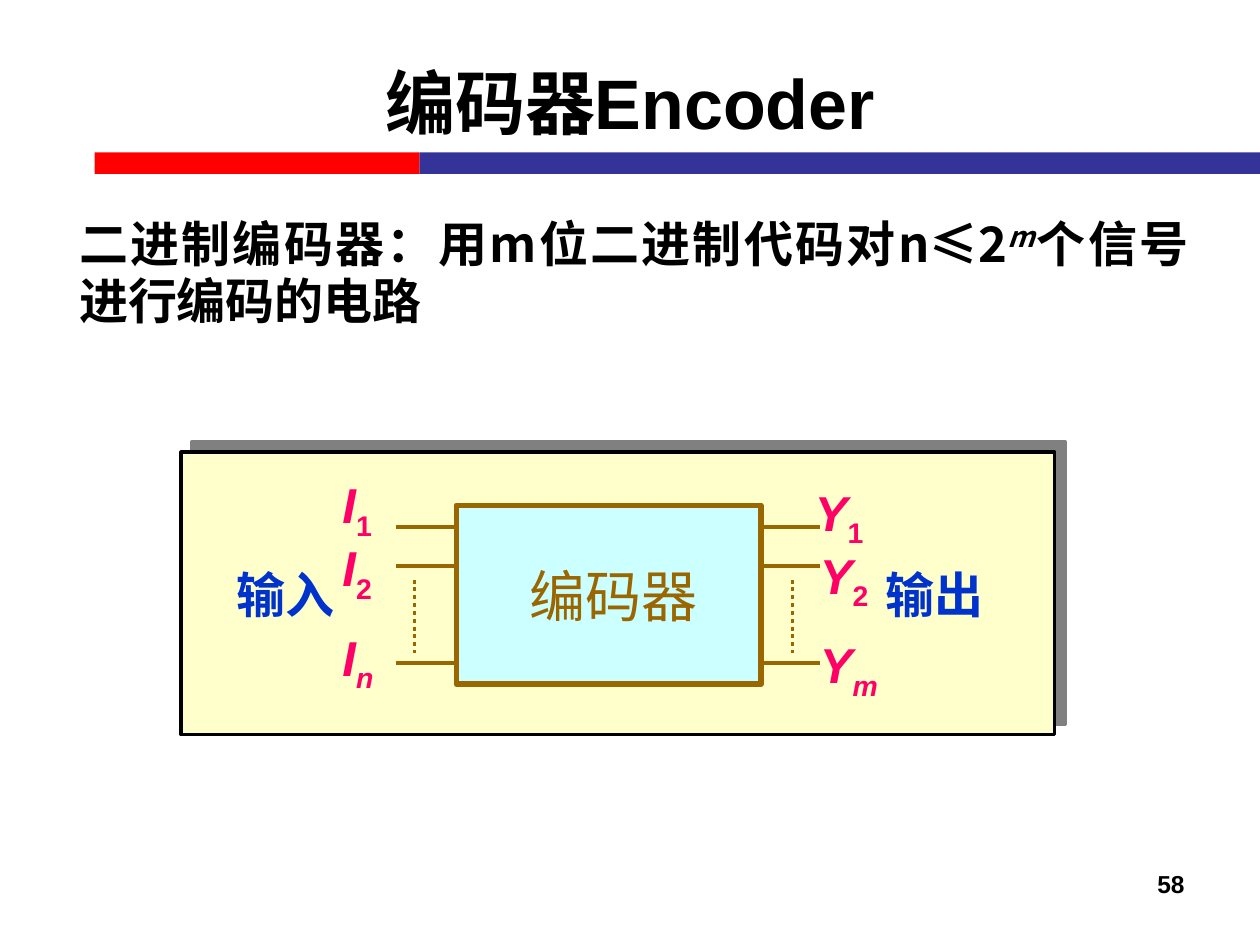
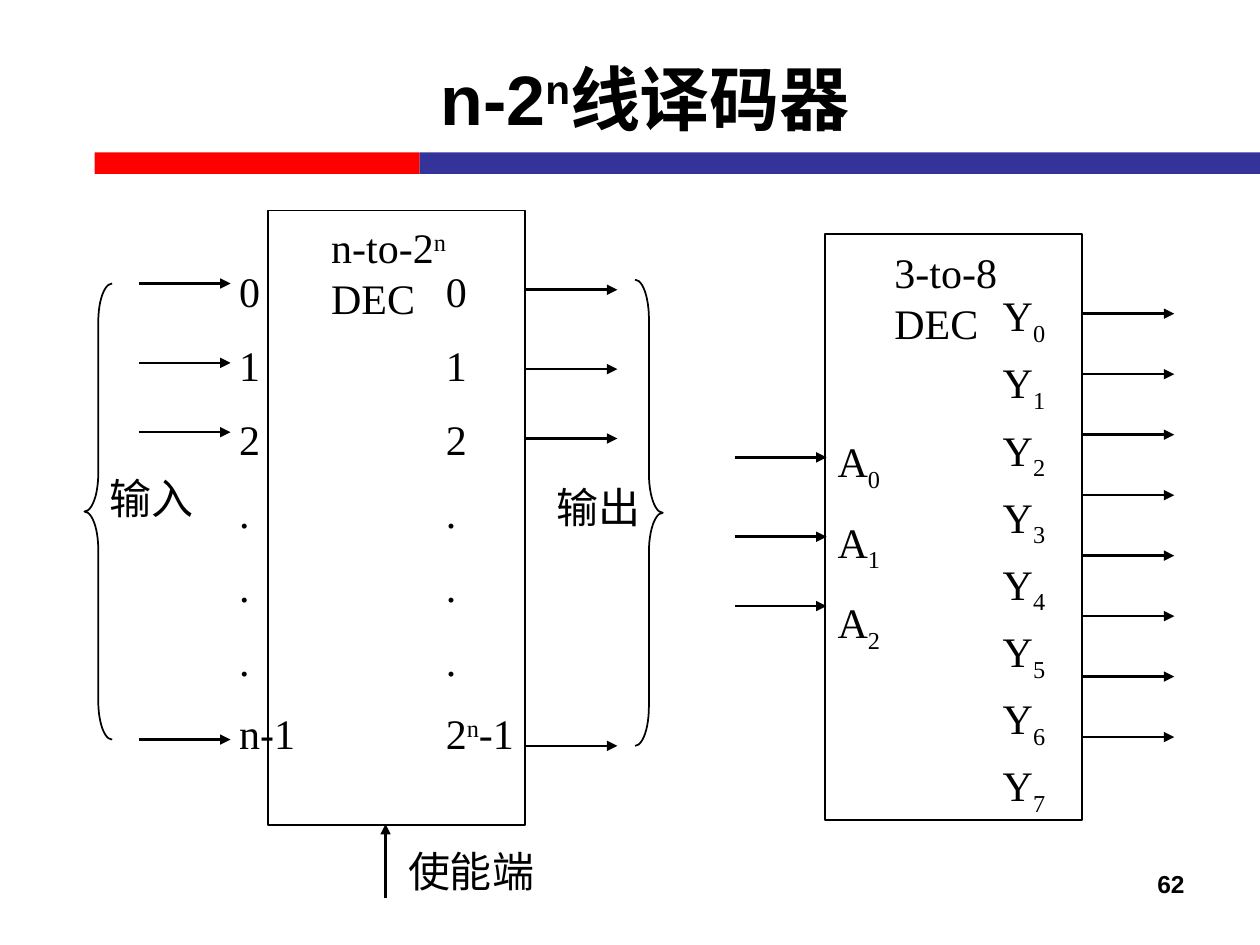
from lxml import etree
from pptx import Presentation
from pptx import util as u
from pptx.dml.color import RGBColor
from pptx.enum import dml, shapes, text
from pptx.oxml import ns

BLACK, RED, NAVY = "000000", "FF0000", "333399"
CREAM, CYAN, BROWN, PINK, BLUE, GRAY = "FFFFCC", "CCFFFF", "996600", "FF0066", "0033CC", "808080"
SANS, SERIF, CHINESE = "Arial", "Times New Roman", "Noto Sans CJK SC"
SHIFTS = {"^": 30000, "_": -25000}
ALIGN = text.PP_ALIGN
ARROW = 0.73


def color(value):
    return RGBColor.from_string(value)


def child(parent, tag, **attributes):
    return etree.SubElement(parent, ns.qn(tag), attributes)


def write(frame, lines, size, font=SANS, ink=BLACK, bold=False, italic=False, align=ALIGN.LEFT, gap=0):
    """Fill a frame; each line is a list of (words, marks): ^ raised, _ lowered, / italic, | upright."""
    for index, line in enumerate(lines):
        para = frame.paragraphs[0] if index == 0 else frame.add_paragraph()
        para.alignment = align
        if index and gap:
            para.space_before = u.Pt(gap)
        for words, marks in line:
            span = para.add_run()
            span.text = words
            span.font.size = u.Pt(size)
            span.font.name = font
            span.font.bold = bold
            span.font.italic = (italic or "/" in marks) and "|" not in marks
            span.font.color.rgb = color(ink)
            properties = span.font._element
            child(properties, "a:ea", typeface=CHINESE)
            for mark, shift in SHIFTS.items():
                if mark in marks:
                    properties.set("baseline", str(shift))


def add_text(page, box, lines, size, wrap=True, middle=False, top=0.05, **style):
    left, upper, width, height = map(u.Inches, box)
    frame = page.shapes.add_textbox(left, upper, width, height).text_frame
    frame.word_wrap = wrap
    frame.margin_top = u.Inches(top)
    if middle:
        frame.vertical_anchor = text.MSO_ANCHOR.MIDDLE
    write(frame, lines, size, **style)
    return frame


def add_outline(page, box, fill=None, line=None, weight=1, kind=shapes.MSO_SHAPE.RECTANGLE):
    shape = page.shapes.add_shape(kind, *map(u.Inches, box))
    shape.shadow.inherit = False
    if fill:
        shape.fill.solid()
        shape.fill.fore_color.rgb = color(fill)
    else:
        shape.fill.background()
    if line:
        shape.line.color.rgb = color(line)
        shape.line.width = u.Pt(weight)
    else:
        shape.line.fill.background()
    return shape


def add_line(page, start, end, ink=BLACK, weight=1.5, dotted=False, arrow=False):
    line = page.shapes.add_connector(shapes.MSO_CONNECTOR.STRAIGHT, *map(u.Inches, start + end))
    line.line.color.rgb = color(ink)
    line.line.width = u.Pt(weight)
    if dotted:
        line.line.dash_style = dml.MSO_LINE.ROUND_DOT
    if arrow:
        child(line.line._get_or_add_ln(), "a:tailEnd", type="triangle")
    child(line._element.spPr, "a:effectLst")


def add_arrows(page, left, heights):
    for y in heights:
        add_line(page, (left, y), (left + ARROW, y), arrow=True)


def add_page(deck, number, title, title_box):
    page = deck.slides.add_slide(deck.slide_layouts[6])
    add_outline(page, (0.75, 1.21, 2.58, 0.17), RED)
    add_outline(page, (3.33, 1.21, 6.67, 0.17), NAVY)
    add_text(page, title_box, [title], 40, middle=True, bold=True, align=ALIGN.CENTER)
    add_text(page, (7.17, 6.85, 2.33, 0.5), [[(number, "")]], 14, bold=True, align=ALIGN.RIGHT)
    return page


def add_encoder(page, left, top):
    """Shadowed panel with the encoder block, its signals and labels."""
    panel = add_outline(page, (left, top, 6.93, 2.24), CREAM, BLACK, 2.25)
    effects = panel._element.spPr.find(ns.qn("a:effectLst"))
    shadow = child(effects, "a:outerShdw", dist=str(u.Pt(8.5)), dir="18900000", algn="ctr", rotWithShape="0")
    child(shadow, "a:srgbClr", val=GRAY)

    block_left, block_right = left + 2.18, left + 4.6
    block = add_outline(page, (block_left, top + 0.42, 2.42, 1.42), CYAN, BROWN, 3)
    frame = block.text_frame
    frame.word_wrap = False
    frame.margin_left = u.Inches(0.18)
    frame.vertical_anchor = text.MSO_ANCHOR.MIDDLE
    write(frame, [[("编码器", "")]], 32, ink=BROWN, align=ALIGN.CENTER)

    for y in (0.59, 0.9, 1.67):
        for x in (block_left - 0.48, block_right):
            add_line(page, (x, top + y), (x + 0.47, top + y), BROWN, 2.25)
    for x in (block_left - 0.33, block_right + 0.25):
        add_line(page, (x, top + 1.01), (x, top + 1.59), BROWN, 2.25, dotted=True)

    signals = [("I", "1", "_|", 1.18, 0.13), ("I", "2", "_|", 1.18, 0.63), ("I", "n", "_", 1.18, 1.34),
               ("Y", "1", "_|", 4.93, 0.19), ("Y", "2", "_|", 4.97, 0.69), ("Y", "m", "_", 4.97, 1.4)]
    for letter, index, marks, x, y in signals:
        add_text(page, (left + x, top + y, 0.83, 0.57), [[(letter, ""), (index, marks)]], 28,
                 ink=PINK, bold=True, italic=True)
    for label, x in (("输入", 0.34), ("输出", 5.49)):
        add_text(page, (left + x, top + 0.89, 1.46, 0.57), [[(label, "")]], 28, top=0, ink=BLUE, bold=True)


def add_general_decoder(page, left, top):
    """The n-to-2^n block with arrows, braces and the enable input."""
    add_outline(page, (left, top, 2.04, 4.88), line=BLACK)
    ports = [[(port, "")] for port in "012..."]
    columns = ((-0.33, [("n-1", "")]), (1.31, [("2", ""), ("n", "^"), ("-1", "")]))
    for x, last in columns:
        add_text(page, (left + x, top + 0.39, 0.87, 4.09), ports + [last], 24, font=SERIF, gap=13.3)
    rows = (0.58, 1.21, 1.76, 4.2)
    add_arrows(page, left - 1.03, [top + y for y in rows])
    add_arrows(page, left + 2.04, [top + y + 0.05 for y in rows])

    braces = ((shapes.MSO_SHAPE.LEFT_BRACE, -1.46, 0.58, 3.62, 1.38),
              (shapes.MSO_SHAPE.RIGHT_BRACE, 2.91, 0.55, 3.7, 1.42))
    for kind, x, y, height, curl in braces:
        brace = add_outline(page, (left + x, top + y, 0.22, height), line=BLACK, kind=kind)
        brace.adjustments[0] = curl

    add_text(page, (left + 0.4, top + 0.04, 1.13, 0.9), [[("n-to-2", ""), ("n", "^")], [("DEC", "")]], 24,
             wrap=False, font=SERIF)
    add_line(page, (left + 0.93, top + 5.46), (left + 0.93, top + 4.87), arrow=True)
    for label, x, y in (("输入", -1.36, 2.08), ("输出", 2.19, 2.15), ("使能端", 1.01, 5.04)):
        add_text(page, (left + x, top + y, 1.33, 0.5), [[(label, "")]], 24, top=0, font=CHINESE)


def add_three_to_eight(page, left, top):
    add_outline(page, (left, top, 2.04, 4.65), line=BLACK)
    for letter, count, x, y, gap in (("A", 3, 0, 1.55, 13.2), ("Y", 8, 1.31, 0.39, 5.6)):
        names = [[(letter, ""), (str(index), "_")] for index in range(count)]
        add_text(page, (left + x, top + y, 0.87, 3.85), names, 24, font=SERIF, gap=gap)
    add_arrows(page, left - 0.72, [top + y for y in (1.77, 2.4, 2.95)])
    add_arrows(page, left + 2.04, [top + 0.63 + 0.48 * row for row in range(8)])
    add_text(page, (left + 0.45, top + 0.05, 1.02, 0.9), [[("3-to-8", "")], [("DEC", "")]], 24,
             wrap=False, font=SERIF)


def main():
    deck = Presentation()
    deck.slide_width, deck.slide_height = u.Inches(10), u.Inches(7.5)

    encoder = add_page(deck, "58", [("编码器Encoder", "")], (0.5, 0.18, 9, 1.25))
    definition = [("二进制编码器：用m位二进制代码对n≤2", ""), ("m", "^/"), ("个信号进行编码的电路", "")]
    frame = add_text(encoder, (0.53, 1.6, 9, 1.04), [definition], 28, top=0.1, font=CHINESE, bold=True,
                     align=ALIGN.JUSTIFY)
    frame.paragraphs[0].line_spacing = u.Pt(33)
    add_encoder(encoder, 1.44, 3.59)

    decoder = add_page(deck, "62", [("n-2", ""), ("n", "^"), ("线译码器", "")], (0.62, 0.15, 9, 1.25))
    add_general_decoder(decoder, 2.13, 1.67)
    add_three_to_eight(decoder, 6.55, 1.86)
    deck.save("out.pptx")


if __name__ == "__main__":
    main()
